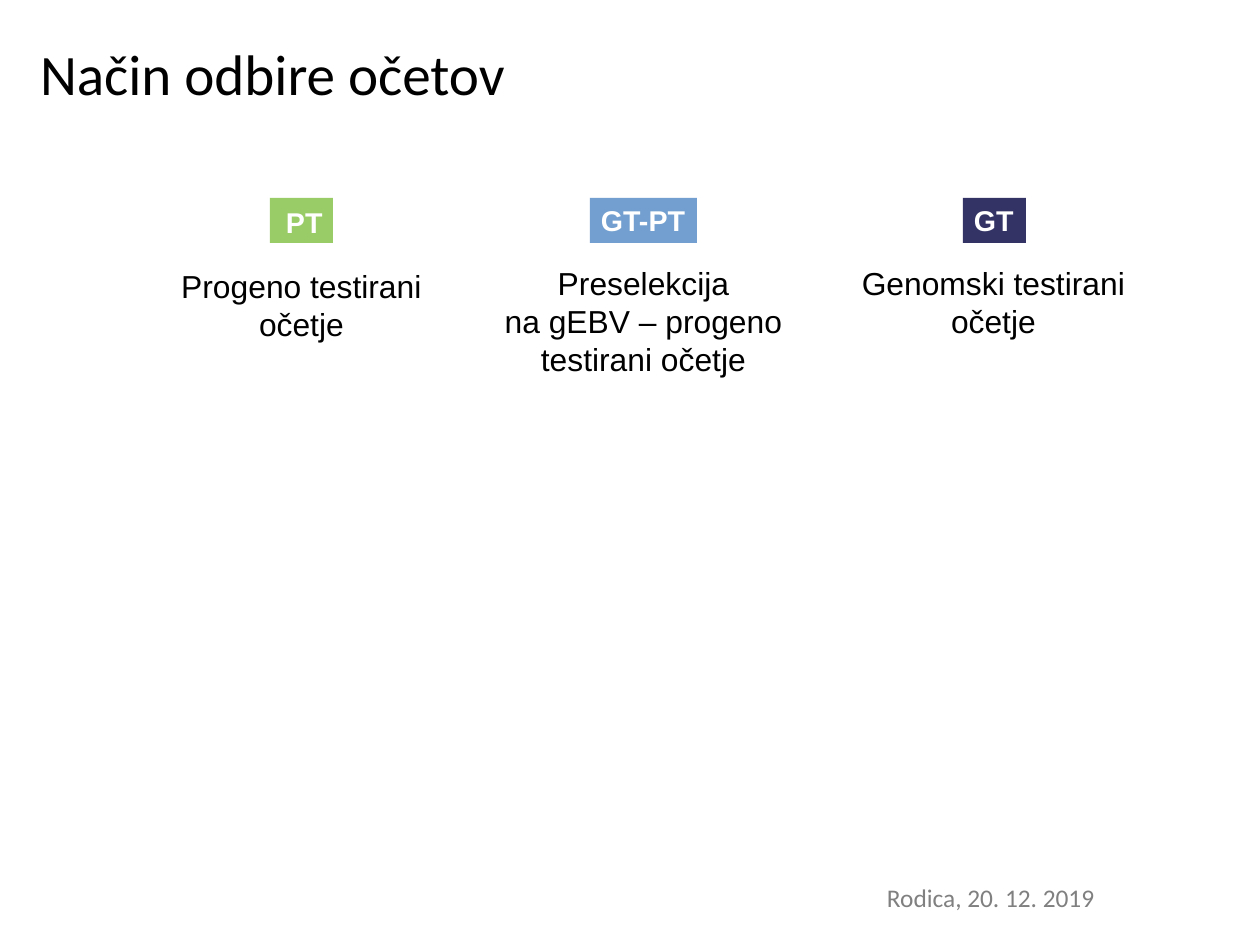
from dataclasses import dataclass

from pptx import Presentation
from pptx.dml.color import RGBColor
from pptx.enum.shapes import MSO_SHAPE
from pptx.enum.text import MSO_ANCHOR, PP_ALIGN
from pptx.util import Emu, Pt

PX = 8000  # EMU in one px; the slide is 1260 by 945 px (28 by 21 cm)


@dataclass(frozen=True)
class Theme:
    heading_font: str = "Calibri"
    body_font: str = "Arial"
    title_size: int = 36
    caption_size: int = 20
    badge_size: int = 18
    footer_size: int = 16
    text: str = "000000"
    badge_text: str = "FFFFFF"
    footer: str = "808080"
    progeny: str = "99CC66"
    preselection: str = "729FCF"
    genomic: str = "333366"


THEME = Theme()

# Badge text, fill, box and insets, then caption text and box
METHODS = [
    ("PT", THEME.progeny, (270, 198, 63, 45), (16, 10, 5, 6),
     "Progeno testirani\vočetje", (153, 261, 297, 87)),
    ("GT-PT", THEME.preselection, (590, 198, 107, 45), (11, 8, 5, 6),
     "Preselekcija\vna gEBV – progeno testirani očetje", (477, 258, 333, 126)),
    ("GT", THEME.genomic, (963, 198, 63, 45), (11, 8, 5, 6),
     "Genomski testirani očetje", (818, 258, 351, 87)),
]


def set_attributes(target, values):
    for name, value in values.items():
        setattr(target, name, value)


def px(lengths):
    return [Emu(length * PX) for length in lengths]


def write_text(shape, text, font, size, color, bold=False, insets=(11, 6, 11, 6),
               align=PP_ALIGN.LEFT, anchor=MSO_ANCHOR.TOP, spacing=1.0):
    frame = shape.text_frame
    sides = ("margin_left", "margin_top", "margin_right", "margin_bottom")
    set_attributes(frame, {"word_wrap": True, "vertical_anchor": anchor,
                           **dict(zip(sides, px(insets)))})
    paragraph = frame.paragraphs[0]
    paragraph.text = text
    set_attributes(paragraph, {"alignment": align, "line_spacing": spacing})
    for run in paragraph.runs:
        set_attributes(run.font, {"name": font, "size": Pt(size), "bold": bold})
        run.font.color.rgb = RGBColor.from_string(color)


def add_text(slide, box, text, font, size, color, **options):
    shape = slide.shapes.add_textbox(*px(box))
    write_text(shape, text, font, size, color, **options)


def add_badge(slide, box, text, fill, insets):
    badge = slide.shapes.add_shape(MSO_SHAPE.RECTANGLE, *px(box))
    badge.shadow.inherit = False
    badge.fill.solid()
    badge.fill.fore_color.rgb = RGBColor.from_string(fill)
    badge.line.fill.background()
    write_text(badge, text, THEME.body_font, THEME.badge_size, THEME.badge_text,
               bold=True, insets=insets, spacing=0.93)


def main():
    presentation = Presentation()
    set_attributes(presentation, {"slide_width": Emu(1260 * PX),
                                  "slide_height": Emu(945 * PX)})
    slide = presentation.slides.add_slide(presentation.slide_layouts[6])

    # Footer and title
    add_text(slide, (876, 876, 357, 55), "Rodica, 20. 12. 2019",
             THEME.heading_font, THEME.footer_size, THEME.footer)
    add_text(slide, (40, 15, 1031, 119), "Način odbire očetov",
             THEME.heading_font, THEME.title_size, THEME.text,
             insets=(0, 3, 0, 0), anchor=MSO_ANCHOR.MIDDLE, spacing=0.93)

    # Selection methods
    for label, fill, badge_box, insets, caption, caption_box in METHODS:
        add_badge(slide, badge_box, label, fill, insets)
        add_text(slide, caption_box, caption, THEME.body_font,
                 THEME.caption_size, THEME.text, align=PP_ALIGN.CENTER)

    presentation.save("out.pptx")


if __name__ == "__main__":
    main()
